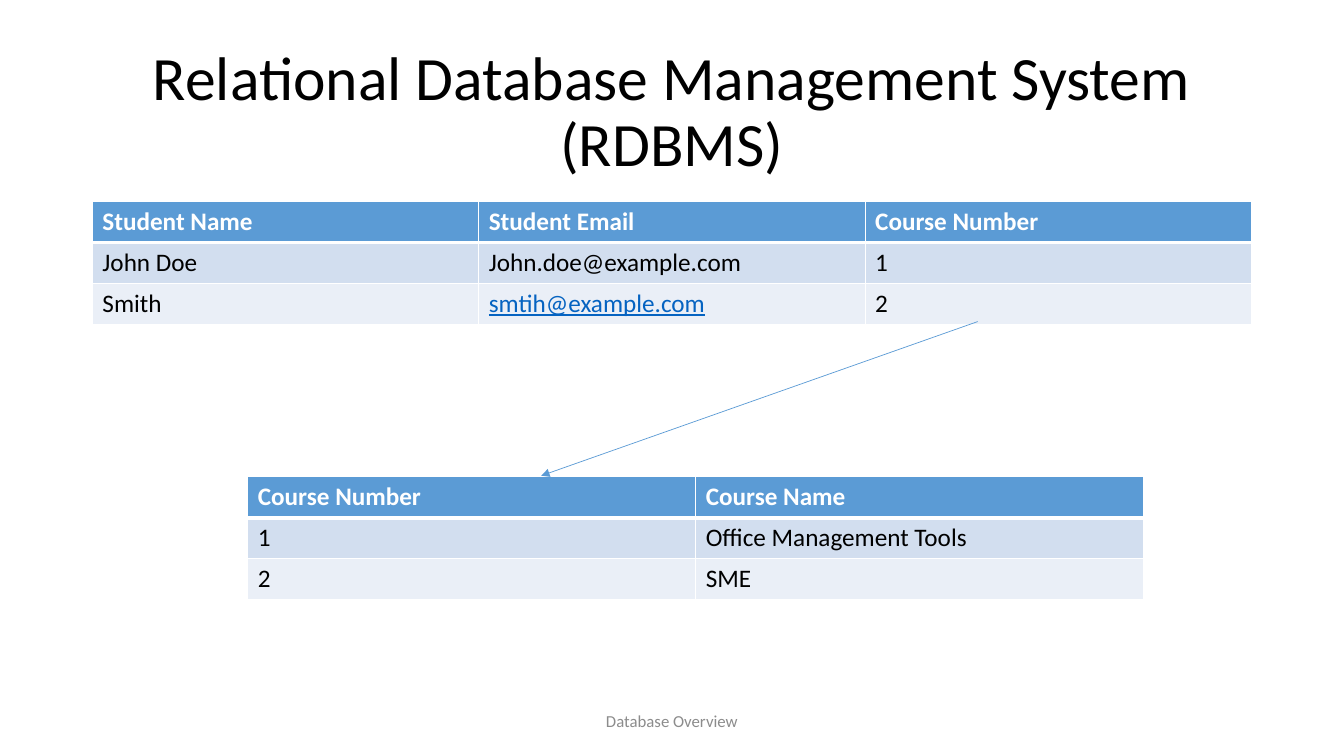
import pptx
import pptx.dml.color
import pptx.enum.shapes
import pptx.enum.text
import pptx.oxml
import pptx.oxml.ns
import pptx.util
from lxml import etree

Pt = pptx.util.Pt
FONT = "Calibri"
ROW_HEIGHT = 29.2
COLORS = {
    "black": "000000",
    "white": "FFFFFF",
    "blue": "5B9BD5",
    "dark_band": "D2DEEF",
    "light_band": "EAEFF7",
    "link": "0563C1",
    "footer": "8C8C8C",
}


def rgb(name):
    """Return the named colour."""
    return pptx.dml.color.RGBColor.from_string(COLORS[name])


def add_run(paragraph, text, size, color):
    """Add a run in the slide font and return it."""
    run = paragraph.add_run()
    run.text = text
    run.font.name = FONT
    run.font.size = Pt(size)
    run.font.color.rgb = rgb(color)
    return run


presentation = pptx.Presentation()
presentation.slide_width = Pt(960)
presentation.slide_height = Pt(540)
slide = presentation.slides.add_slide(presentation.slide_layouts[6])

# Title and footer: text, left, top, width, height, size, colour, line spacing
text_boxes = [
    ("Relational Database Management System (RDBMS)",
     66, 28.8, 828, 104.4, 44, "black", 0.9),
    ("Database Overview", 318, 500.4, 324, 28.8, 12, "footer", 1.0),
]
for text, left, top, width, height, size, color, spacing in text_boxes:
    text_box = slide.shapes.add_textbox(Pt(left), Pt(top), Pt(width), Pt(height))
    text_frame = text_box.text_frame
    text_frame.word_wrap = True
    text_frame.vertical_anchor = pptx.enum.text.MSO_ANCHOR.MIDDLE
    paragraph = text_frame.paragraphs[0]
    paragraph.alignment = pptx.enum.text.PP_ALIGN.CENTER
    paragraph.line_spacing = spacing
    add_run(paragraph, text, size, color)

# Student and course tables: left, top, width, rows
tables = [
    (66, 144, 828, [
        ["Student Name", "Student Email", "Course Number"],
        ["John Doe", "John.doe@example.com", "1"],
        ["Smith", "smtih@example.com", "2"],
    ]),
    (177, 340.6, 640, [
        ["Course Number", "Course Name"],
        ["1", "Office Management Tools"],
        ["2", "SME"],
    ]),
]
row_fills = ["blue", "dark_band", "light_band"]
for left, top, width, rows in tables:
    column_count = len(rows[0])
    table = slide.shapes.add_table(
        len(rows), column_count, Pt(left), Pt(top),
        Pt(width), Pt(ROW_HEIGHT * len(rows))).table
    for column in table.columns:
        column.width = Pt(width / column_count)
    for row_index, row_texts in enumerate(rows):
        table.rows[row_index].height = Pt(ROW_HEIGHT)
        is_header = row_index == 0
        for column_index, text in enumerate(row_texts):
            cell = table.cell(row_index, column_index)
            run = add_run(cell.text_frame.paragraphs[0], text, 18,
                          "white" if is_header else "black")
            run.font.bold = is_header
            if text == "smtih@example.com":
                run.font.color.rgb = rgb("link")
                run.font.underline = True

            # Borders must precede the fill in the cell properties
            properties = cell._tc.get_or_add_tcPr()
            border_widths = {
                "lnL": 1, "lnR": 1,
                "lnT": 3 if row_index == 1 else 1,
                "lnB": 3 if is_header else 1,
            }
            for tag, border_width in border_widths.items():
                border = etree.SubElement(
                    properties, pptx.oxml.ns.qn(f"a:{tag}"), w=str(Pt(border_width)))
                border_fill = etree.SubElement(border, pptx.oxml.ns.qn("a:solidFill"))
                etree.SubElement(border_fill, pptx.oxml.ns.qn("a:srgbClr"),
                                 val=COLORS["white"])
            cell.fill.solid()
            cell.fill.fore_color.rgb = rgb(row_fills[row_index])

# Arrow from the student's course number to the course table
arrow = slide.shapes.add_connector(
    pptx.enum.shapes.MSO_CONNECTOR.STRAIGHT,
    Pt(698.4), Pt(229.7), Pt(386.6), Pt(339.8))
arrow.line.color.rgb = rgb("blue")
arrow.line.width = Pt(0.5)
etree.SubElement(arrow.line._get_or_add_ln(), pptx.oxml.ns.qn("a:tailEnd"),
                 type="triangle")
etree.SubElement(arrow._element.spPr, pptx.oxml.ns.qn("a:effectLst"))

presentation.save("out.pptx")
